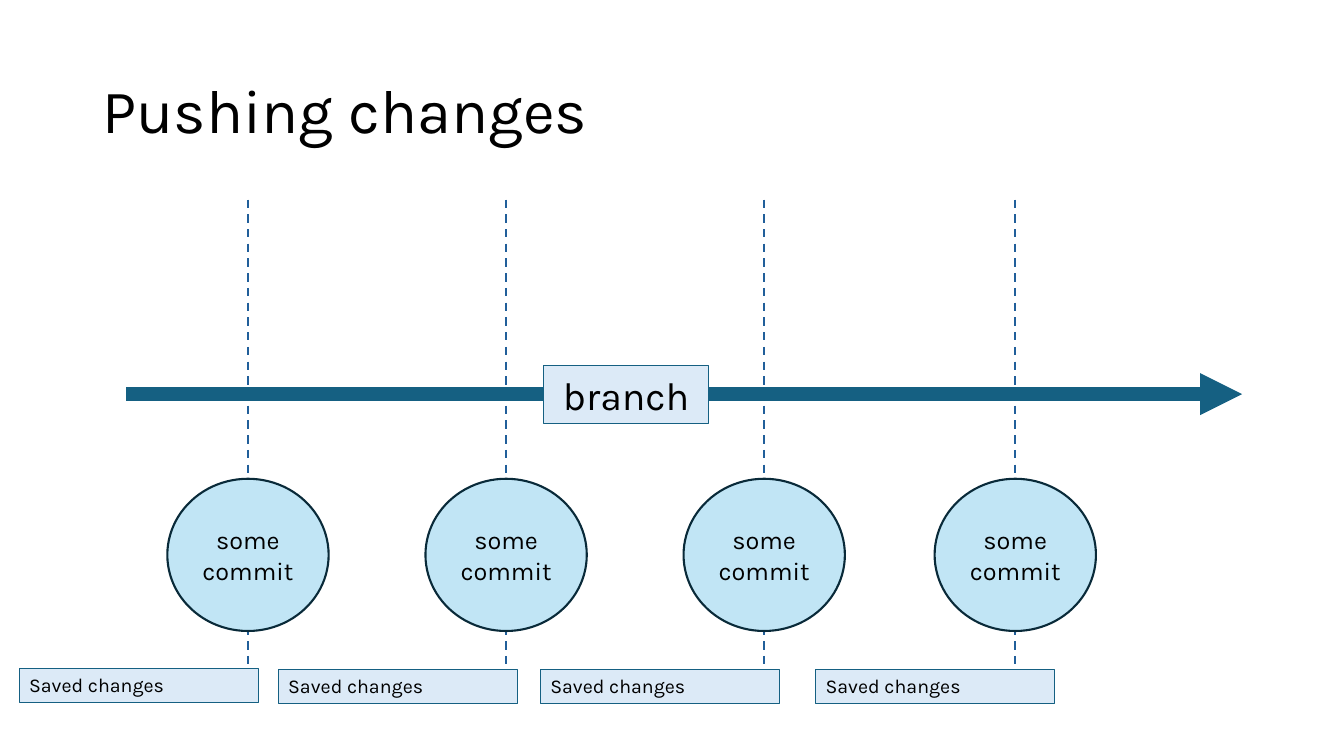
from lxml import etree
from pptx import Presentation
from pptx.dml.color import RGBColor
from pptx.enum import dml, shapes, text
from pptx.oxml.ns import qn
from pptx.util import Inches, Pt

FONT = "Karla"
BLACK = "000000"
TEAL = "156082"
LABEL_FILL = "DCEAF7"
COMMIT_WIDTH = 1.6

# Centre of each commit, then left and top of its "Saved changes" label
COMMITS = [
    (2.46, 0.19, 6.63),
    (5.02, 2.76, 6.64),
    (7.58, 5.36, 6.64),
    (10.07, 8.09, 6.64),
]


def color(hex_string):
    return RGBColor.from_string(hex_string)


def set_text(shape, content, size, align=text.PP_ALIGN.LEFT,
             anchor=text.MSO_ANCHOR.TOP, spacing=1.0, grow=False):
    """Fill the shape with text, one paragraph per line of content."""
    frame = shape.text_frame
    frame.word_wrap = True
    frame.vertical_anchor = anchor
    if grow:
        frame.auto_size = text.MSO_AUTO_SIZE.SHAPE_TO_FIT_TEXT
    frame.text = content
    for paragraph in frame.paragraphs:
        paragraph.alignment = align
        paragraph.line_spacing = spacing
        paragraph.font.name = FONT
        paragraph.font.size = Pt(size)
        paragraph.font.color.rgb = color(BLACK)


def add_title(slide, content):
    box = slide.shapes.add_textbox(
        Inches(0.92), Inches(0.4), Inches(11.5), Inches(1.45))
    set_text(box, content, size=44, anchor=text.MSO_ANCHOR.MIDDLE, spacing=0.9)


def add_line(slide, start, end, line_color, width):
    line = slide.shapes.add_connector(
        shapes.MSO_CONNECTOR.STRAIGHT,
        *(Inches(value) for value in (*start, *end)))
    line.line.color.rgb = color(line_color)
    line.line.width = Pt(width)
    etree.SubElement(line._element.spPr, qn("a:effectLst"))
    return line


def add_commit_line(slide, x):
    line = add_line(slide, (x, 1.98), (x, 6.67), "215F9A", 1.5)
    line.line.dash_style = dml.MSO_LINE.DASH


def add_branch_arrow(slide):
    arrow = add_line(slide, (1.25, 3.91), (12.32, 3.91), TEAL, 10)
    etree.SubElement(arrow.line._get_or_add_ln(), qn("a:tailEnd"), type="triangle")


def add_shape(slide, kind, box, fill, line_color, line_width):
    shape = slide.shapes.add_shape(kind, *(Inches(value) for value in box))
    shape.shadow.inherit = False
    shape.fill.solid()
    shape.fill.fore_color.rgb = color(fill)
    shape.line.color.rgb = color(line_color)
    shape.line.width = Pt(line_width)
    return shape


def add_label(slide, content, box, size, align=text.PP_ALIGN.LEFT):
    label = add_shape(slide, shapes.MSO_SHAPE.RECTANGLE, box, LABEL_FILL, TEAL, 0.75)
    set_text(label, content, size, align=align, grow=True)


def add_commit(slide, center):
    box = (center - COMMIT_WIDTH / 2, 4.75, COMMIT_WIDTH, 1.51)
    commit = add_shape(slide, shapes.MSO_SHAPE.OVAL, box, "C1E5F5", "092A39", 1.5)
    set_text(commit, "some\ncommit", size=18, align=text.PP_ALIGN.CENTER,
             anchor=text.MSO_ANCHOR.MIDDLE)


def main():
    presentation = Presentation()
    presentation.slide_width = Inches(13.33)
    presentation.slide_height = Inches(7.5)
    slide = presentation.slides.add_slide(presentation.slide_layouts[6])

    for center, _, _ in COMMITS:
        add_commit_line(slide, center)
    add_title(slide, "Pushing changes")
    add_branch_arrow(slide)
    add_label(slide, "branch", (5.39, 3.63, 1.64, 0.57), 28, text.PP_ALIGN.CENTER)
    for center, _, _ in COMMITS:
        add_commit(slide, center)
    for _, left, top in COMMITS:
        add_label(slide, "Saved changes", (left, top, 2.37, 0.34), 14)

    presentation.save("out.pptx")


if __name__ == "__main__":
    main()
